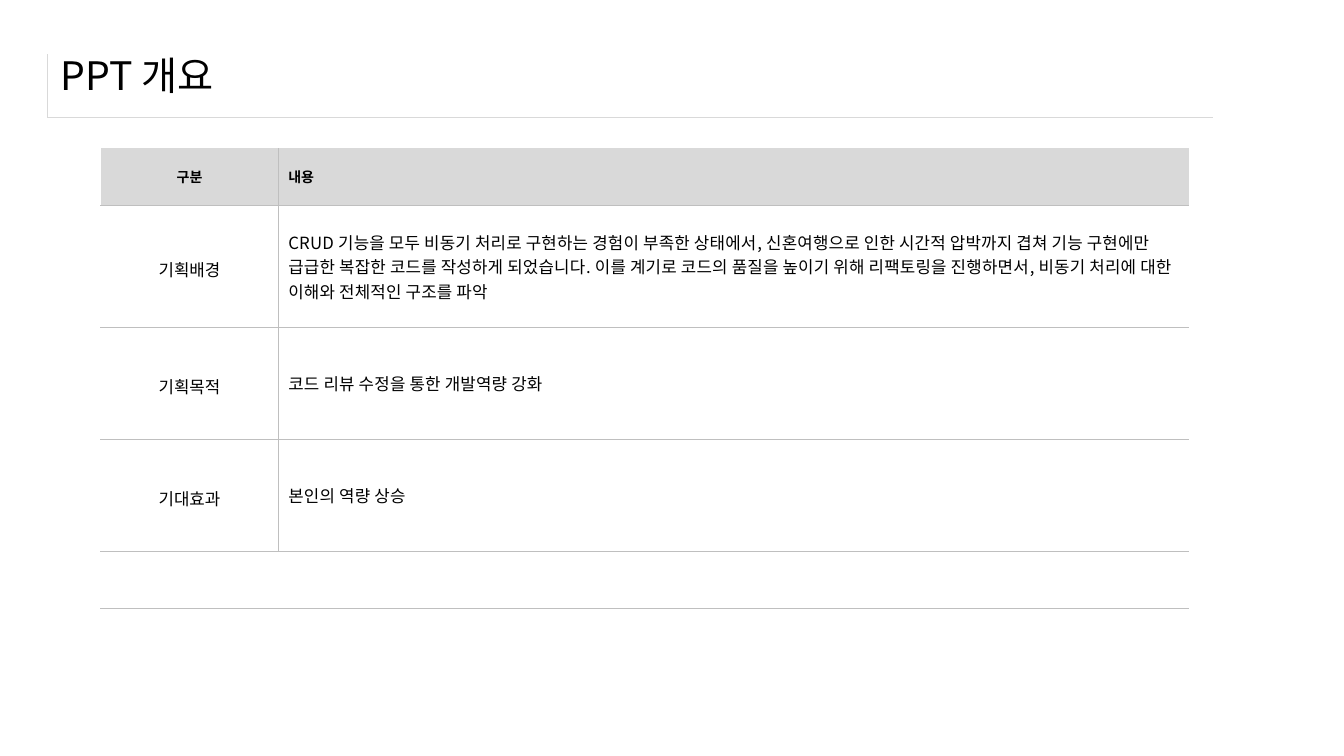
from lxml import etree
from pptx import Presentation
from pptx.dml.color import RGBColor
from pptx.enum.text import MSO_ANCHOR, PP_ALIGN
from pptx.oxml.ns import qn
from pptx.util import Inches, Pt

MIDDLE = MSO_ANCHOR.MIDDLE
LEFT, CENTER = PP_ALIGN.LEFT, PP_ALIGN.CENTER
BLACK = RGBColor(0x00, 0x00, 0x00)
WHITE = RGBColor(0xFF, 0xFF, 0xFF)
PALE = RGBColor(0xD9, 0xD9, 0xD9)
GRAY = RGBColor(0xBF, 0xBF, 0xBF)
KOREAN = "Noto Sans CJK KR"
LATIN = "Arial"
BODY_TRACKING = "13"

COLUMNS = [1.76, 9.03]
ROW_HEIGHTS = [0.57, 1.21, 1.11, 1.11, 0.56]
ROWS = [
    ("구분", "내용"),
    ("기획배경", "CRUD 기능을 모두 비동기 처리로 구현하는 경험이 부족한 상태에서, "
     "신혼여행으로 인한 시간적 압박까지 겹쳐 기능 구현에만 급급한 복잡한 코드를 "
     "작성하게 되었습니다. 이를 계기로 코드의 품질을 높이기 위해 리팩토링을 "
     "진행하면서, 비동기 처리에 대한 이해와 전체적인 구조를 파악"),
    ("기획목적", "코드 리뷰 수정을 통한 개발역량 강화"),
    ("기대효과", "본인의 역량 상승"),
]


def format_run(r, size, font=KOREAN, bold=False):
    r.font.size = Pt(size)
    r.font.bold = bold
    r.font.color.rgb = BLACK
    r.font.name = font
    ea = etree.SubElement(r._r.get_or_add_rPr(), qn("a:ea"))
    ea.set("typeface", KOREAN)


def add_grid(s, x, y, widths, heights):
    table = s.shapes.add_table(
        len(heights), len(widths), Inches(x), Inches(y),
        Inches(sum(widths)), Inches(sum(heights))).table
    for column, width in zip(table.columns, widths):
        column.width = Inches(width)
    for row, height in zip(table.rows, heights):
        row.height = Inches(height)
    return table


def set_borders(cell, **colors):
    tcPr = cell._tc.get_or_add_tcPr()
    for i, side in enumerate("LRTB"):
        color = colors.get(side)
        width = Pt(1) if color == WHITE else Pt(0.25)
        ln = etree.Element(qn(f"a:ln{side}"), w=str(width))
        if color is None:
            etree.SubElement(ln, qn("a:noFill"))
        else:
            fill = etree.SubElement(ln, qn("a:solidFill"))
            etree.SubElement(fill, qn("a:srgbClr"), val=str(color))
        tcPr.insert(i, ln)


def add_title(s, text, x, y, w, h):
    frame = add_grid(s, x, y, [w], [h]).cell(0, 0)
    frame.fill.background()
    set_borders(frame, L=PALE, B=PALE)
    sp = s.shapes.title
    sp.left, sp.top = Inches(x + 0.03), Inches(y - 0.13)
    sp.width, sp.height = Inches(12.49), Inches(0.67)
    tf = sp.text_frame
    tf.text = text
    tf.vertical_anchor = MIDDLE
    p = tf.paragraphs[0]
    p.alignment = LEFT
    format_run(p.runs[0], 28)


def fill_cell(cell, text, header, label):
    cell.text = text
    cell.vertical_anchor = MIDDLE
    p = cell.text_frame.paragraphs[0]
    r = p.runs[0]
    p.alignment = CENTER if label else LEFT
    if header:
        format_run(r, 10, bold=True)
    elif label:
        p.line_spacing = 1.2
        format_run(r, 12, LATIN)
    else:
        format_run(r, 12)
        r._r.get_or_add_rPr().set("spc", BODY_TRACKING)


def add_overview_table(s, x, y):
    table = add_grid(s, x, y, COLUMNS, ROW_HEIGHTS)
    last = len(ROW_HEIGHTS) - 1
    for i, row in enumerate(table.rows):
        for j, cell in enumerate(row.cells):
            if i == 0:
                cell.fill.solid()
                cell.fill.fore_color.rgb = PALE
            else:
                cell.fill.background()
            divider = GRAY if i < last else None
            set_borders(cell, L=divider if j else WHITE,
                        R=None if j else divider,
                        T=GRAY if i else None, B=GRAY)
            if i < last:
                fill_cell(cell, ROWS[i][j], header=i == 0, label=j == 0)
    table.cell(last, 0).merge(table.cell(last, 1))


def main():
    prs = Presentation()
    prs.slide_width, prs.slide_height = Inches(13.33), Inches(7.5)
    s = prs.slides.add_slide(prs.slide_layouts[5])
    add_title(s, "PPT 개요", 0.47, 0.54, 11.56, 0.62)
    add_overview_table(s, 1, 1.47)
    prs.save("out.pptx")


if __name__ == "__main__":
    main()
